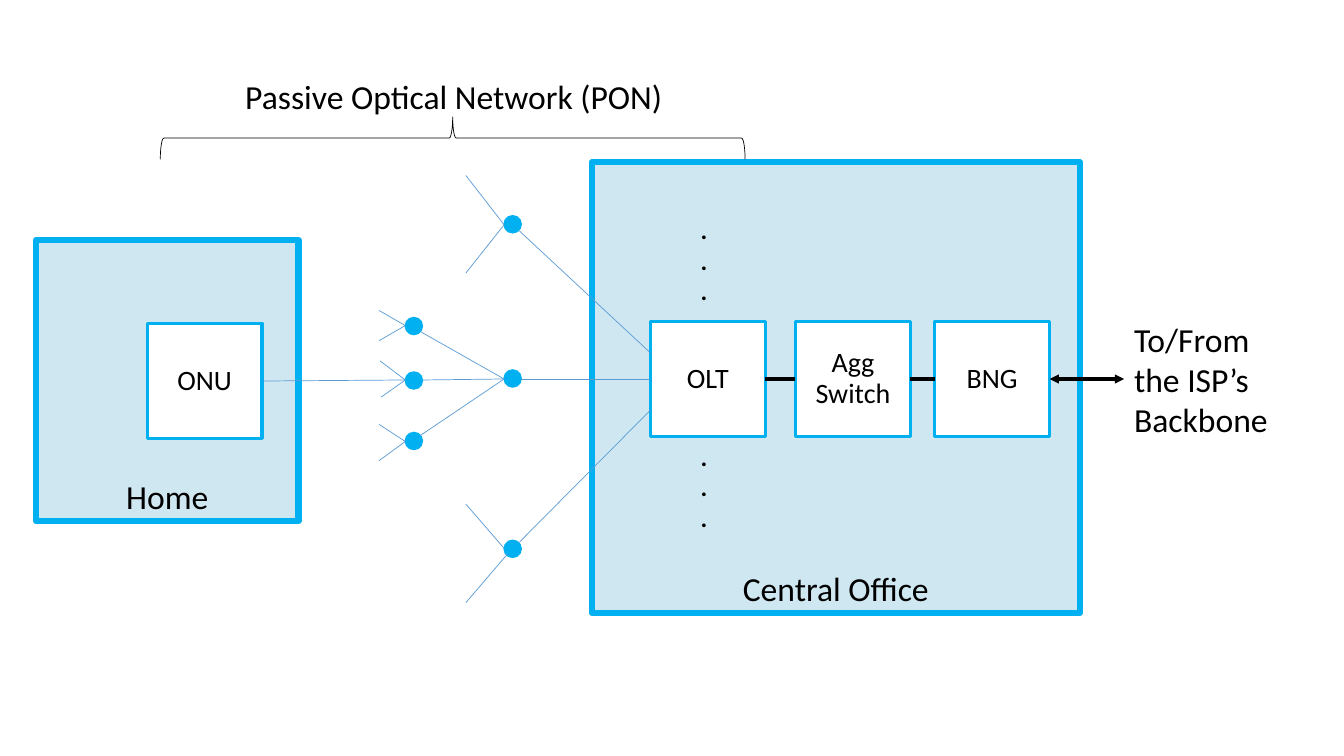
"""Builds a slide of a passive optical network between a home and a central office."""
from lxml import etree
from pptx import Presentation
from pptx.dml.color import RGBColor
from pptx.enum import shapes, text
from pptx.oxml import ns
from pptx.util import Inches, Pt

COLORS = {"edge": "00B0F0", "site": "CFE7F1", "box": "FFFFFF", "fiber": "5B9BD5", "ink": "000000"}
FONT = "Calibri"
BOX_SIZE = 1.14
BOX_TOP = 3.19
AXIS = 3.76
DOT = 0.17
NEAR, FAR = 4.02, 5

SPLITTERS = [
    (FAR, 2.14), (FAR, 3.67), (FAR, 5.36),
    (NEAR, 3.15), (NEAR, 3.69), (NEAR, 4.29),
]
TRUNKS = [
    ((6.45, 3.5), (5.15, 2.29)), ((6.45, AXIS), (5.17, AXIS)), ((6.45, 4.07), (5.15, 5.38)),
    ((FAR, AXIS), (4.17, 3.29)), ((FAR, AXIS), (4.19, 3.77)), ((FAR, AXIS), (4.17, 4.32)),
    ((NEAR, 3.77), (2.6, 3.78)),
]
TWIGS = [
    ((FAR, 2.23), (4.62, 1.74)), ((FAR, 2.23), (4.62, 2.71)),
    ((FAR, 5.44), (4.62, 5)), ((5.03, 5.5), (4.62, 5.98)),
    ((NEAR, 3.23), (3.76, 3.08)), ((NEAR, 3.23), (3.76, 3.38)),
    ((NEAR, 3.77), (3.77, 3.58)), ((NEAR, 3.77), (3.78, 3.94)),
    ((NEAR, 4.38), (3.76, 4.21)), ((NEAR, 4.38), (3.76, 4.57)),
]


def color(name):
    return RGBColor.from_string(COLORS[name])


def write(shape, lines, size, align, bold=False, spacing=None):
    frame = shape.text_frame
    for index, line in enumerate(lines):
        paragraph = frame.add_paragraph() if index else frame.paragraphs[0]
        paragraph.alignment = align
        if spacing:
            paragraph.line_spacing = spacing
        run = paragraph.add_run()
        run.text = line
        run.font.name = FONT
        run.font.size = Pt(size)
        run.font.bold = bold
        run.font.color.rgb = color("ink")


def add_shape(slide, kind, bounds, fill, line, width):
    shape = slide.shapes.add_shape(kind, *map(Inches, bounds))
    shape.shadow.inherit = False
    if fill:
        shape.fill.solid()
        shape.fill.fore_color.rgb = color(fill)
    else:
        shape.fill.background()
    shape.line.color.rgb = color(line)
    shape.line.width = Pt(width)
    return shape


def add_site(slide, bounds, label):
    site = add_shape(slide, shapes.MSO_SHAPE.RECTANGLE, bounds, "site", "edge", 4.5)
    site.text_frame.vertical_anchor = text.MSO_ANCHOR.BOTTOM
    write(site, [label], 24, text.PP_ALIGN.CENTER)


def add_device(slide, left, top, lines):
    bounds = (left, top, BOX_SIZE, BOX_SIZE)
    device = add_shape(slide, shapes.MSO_SHAPE.RECTANGLE, bounds, "box", "edge", 2.25)
    device.text_frame.vertical_anchor = text.MSO_ANCHOR.MIDDLE
    write(device, lines, 20, text.PP_ALIGN.CENTER, spacing=0.9)


def add_label(slide, bounds, lines, size, align=text.PP_ALIGN.LEFT, bold=False, wrap=True):
    label = slide.shapes.add_textbox(*map(Inches, bounds))
    label.text_frame.word_wrap = wrap
    write(label, lines, size, align, bold)


def add_line(slide, start, end, line, width, arrows=False):
    points = map(Inches, (*start, *end))
    connector = slide.shapes.add_connector(shapes.MSO_CONNECTOR.STRAIGHT, *points)
    connector.line.color.rgb = color(line)
    connector.line.width = Pt(width)
    properties = connector._element.spPr
    if arrows:
        outline = properties.find(ns.qn("a:ln"))
        for tag in ("a:headEnd", "a:tailEnd"):
            etree.SubElement(outline, ns.qn(tag), type="triangle")
    etree.SubElement(properties, ns.qn("a:effectLst"))


def main():
    presentation = Presentation()
    presentation.slide_width = Inches(13.33)
    presentation.slide_height = Inches(7.5)
    slide = presentation.slides.add_slide(presentation.slide_layouts[6])

    add_site(slide, (5.87, 1.61, 4.84, 4.47), "Central Office")
    add_site(slide, (0.36, 2.38, 2.6, 2.79), "Home")
    add_device(slide, 1.46, 3.21, ["ONU"])
    for left, lines in ((6.45, ["OLT"]), (7.89, ["Agg", "Switch"]), (9.27, ["BNG"])):
        add_device(slide, left, BOX_TOP, lines)
    for top in (2.08, 4.33):
        add_label(slide, (6.85, top, 0.34, 1.01), ["."] * 3, 18, bold=True)

    for left, top in SPLITTERS:
        add_shape(slide, shapes.MSO_SHAPE.OVAL, (left, top, DOT, DOT), "edge", "edge", 1)
    for start, end in TRUNKS + TWIGS:
        add_line(slide, start, end, "fiber", 0.5)
    for left, right in ((7.59, 7.89), (9.03, 9.27)):
        add_line(slide, (left, AXIS), (right, AXIS), "ink", 2.25)
    add_line(slide, (10.41, AXIS), (11.15, AXIS), "ink", 2.25, arrows=True)

    brace_bounds = (4.28, -1.53, 0.42, 5.8)
    brace = add_shape(slide, shapes.MSO_SHAPE.RIGHT_BRACE, brace_bounds, None, "ink", 0.5)
    brace.rotation = 270
    add_label(slide, (2.31, 0.7, 4.38, 0.5), ["Passive Optical Network (PON)"], 24,
              text.PP_ALIGN.CENTER, wrap=False)
    add_label(slide, (11.15, 3.11, 1.77, 1.31), ["To/From", "the ISP’s Backbone"], 24)
    presentation.save("out.pptx")


if __name__ == "__main__":
    main()
